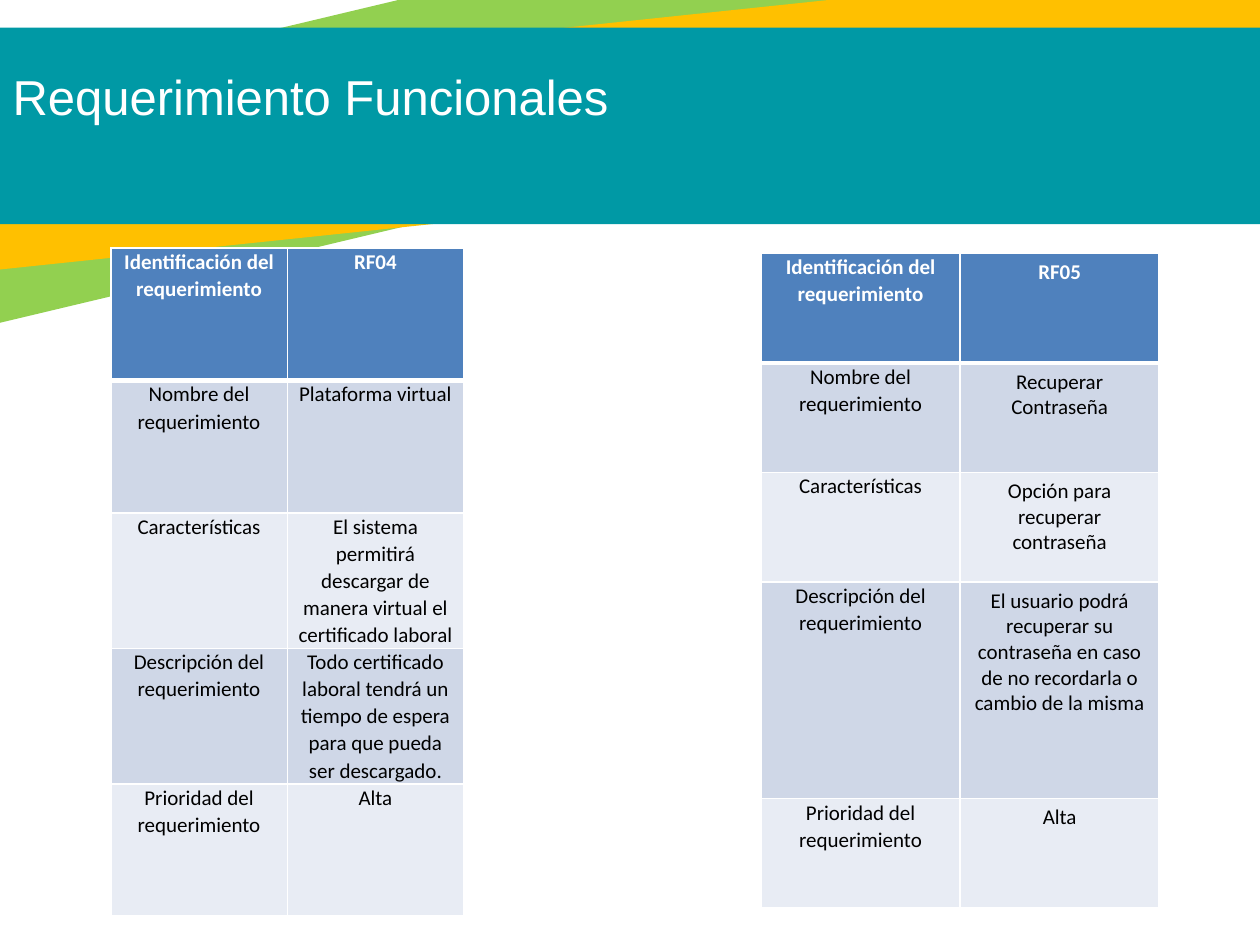
"""Build the functional requirements slide with the RF04 and RF05 tables."""
import lxml.etree
import pptx
import pptx.dml.color
import pptx.enum.shapes
import pptx.enum.text
import pptx.oxml.ns
import pptx.util

Inches = pptx.util.Inches
Pt = pptx.util.Pt
RGBColor = pptx.dml.color.RGBColor

WHITE = RGBColor(0xFF, 0xFF, 0xFF)
BLACK = RGBColor(0x00, 0x00, 0x00)
GREEN = RGBColor(0x92, 0xD0, 0x50)
AMBER = RGBColor(0xFF, 0xC0, 0x00)
TEAL = RGBColor(0x00, 0x99, 0xA5)
HEADER_BLUE = RGBColor(0x4F, 0x81, 0xBD)
BAND_FILLS = [RGBColor(0xE8, 0xEC, 0xF4), RGBColor(0xCF, 0xD7, 0xE7)]

LABELS = [
    "Identificación del requerimiento",
    "Nombre del requerimiento",
    "Características",
    "Descripción del requerimiento",
    "Prioridad del requerimiento",
]
TIGHT = {"margins": (0.07, 0), "line_spacing": 1.06}
ROOMY = {"margins": (0.1, 0.05), "line_spacing": None}
REQUIREMENTS = [
    {
        "position": (0.88, 1.97),
        "column_width": 1.4,
        "row_heights": [1.05] * 5,
        "value_layout": TIGHT,
        "values": [
            "RF04",
            "Plataforma virtual",
            "El sistema permitirá descargar de manera virtual el certificado laboral",
            "Todo certificado laboral tendrá un tiempo de espera para que pueda ser descargado.",
            "Alta",
        ],
    },
    {
        "position": (6.04, 2.01),
        "column_width": 1.58,
        "row_heights": [0.87, 0.87, 0.87, 1.72, 0.87],
        "value_layout": ROOMY,
        "values": [
            "RF05",
            "Recuperar Contraseña",
            "Opción para recuperar contraseña",
            "El usuario podrá recuperar su contraseña en caso de no recordarla o cambio de la misma",
            "Alta",
        ],
    },
]


def apply_format(target, values):
    """Set each named attribute on the target."""
    for name, value in values.items():
        setattr(target, name, value)


def set_borders(cell, widths):
    """Give the cell white borders with widths in points, keyed by side."""
    properties = cell._tc.get_or_add_tcPr()
    for index, (side, width) in enumerate(widths.items()):
        line = lxml.etree.Element(pptx.oxml.ns.qn(f"a:ln{side}"), w=str(Pt(width)))
        fill = lxml.etree.SubElement(line, pptx.oxml.ns.qn("a:solidFill"))
        lxml.etree.SubElement(fill, pptx.oxml.ns.qn("a:srgbClr"), val=str(WHITE))
        properties.insert(index, line)


deck = pptx.Presentation()
apply_format(deck, {"slide_width": Inches(10), "slide_height": Inches(7.5)})
slide = deck.slides.add_slide(deck.slide_layouts[5])

for left, top, width, height, rotation, color in [
    (-2.51, -0.18, 13.06, 1.76, 346.6, GREEN),
    (-1.1, 0.2, 11.63, 1.44, 354, AMBER),
    (-1.06, 0.22, 11.63, 1.56, 0, TEAL),
]:
    band = slide.shapes.add_shape(
        pptx.enum.shapes.MSO_SHAPE.RECTANGLE,
        Inches(left), Inches(top), Inches(width), Inches(height),
    )
    band.rotation = rotation
    band.shadow.inherit = False
    band.fill.solid()
    band.fill.fore_color.rgb = color
    band.line.fill.background()

for requirement in REQUIREMENTS:
    left, top = requirement["position"]
    column_width = requirement["column_width"]
    row_heights = requirement["row_heights"]
    table = slide.shapes.add_table(
        len(LABELS), 2, Inches(left), Inches(top),
        Inches(2 * column_width), Inches(sum(row_heights)),
    ).table
    for column in table.columns:
        column.width = Inches(column_width)
    for row_index, texts in enumerate(zip(LABELS, requirement["values"])):
        table.rows[row_index].height = Inches(row_heights[row_index])
        is_header = row_index == 0
        for column_index, text in enumerate(texts):
            layout = requirement["value_layout"] if column_index else TIGHT
            side_margin, end_margin = layout["margins"]
            cell = table.cell(row_index, column_index)
            apply_format(cell, {
                "text": text,
                "margin_left": Inches(side_margin),
                "margin_right": Inches(side_margin),
                "margin_top": Inches(end_margin),
                "margin_bottom": Inches(end_margin),
            })
            cell.fill.solid()
            cell.fill.fore_color.rgb = HEADER_BLUE if is_header else BAND_FILLS[row_index % 2]
            set_borders(cell, {
                "L": 1, "R": 1,
                "T": 3 if row_index == 1 else 1,
                "B": 3 if is_header else 1,
            })
            para = cell.text_frame.paragraphs[0]
            apply_format(para, {
                "alignment": pptx.enum.text.PP_ALIGN.CENTER,
                "line_spacing": layout["line_spacing"],
            })
            span = para.runs[0]
            apply_format(span.font, {"name": "Calibri", "size": Pt(12), "bold": is_header})
            span.font.color.rgb = WHITE if is_header else BLACK

title = slide.shapes.title
slide.shapes.element.append(title.element)
apply_format(title, {
    "left": Inches(0), "top": Inches(0.48),
    "width": Inches(6.71), "height": Inches(1.04),
})
apply_format(title.text_frame, {
    "text": "Requerimiento Funcionales",
    "word_wrap": True,
    "auto_size": pptx.enum.text.MSO_AUTO_SIZE.NONE,
    "vertical_anchor": pptx.enum.text.MSO_ANCHOR.TOP,
})
para = title.text_frame.paragraphs[0]
para.alignment = pptx.enum.text.PP_ALIGN.LEFT
span = para.runs[0]
apply_format(span.font, {"name": "Arial", "size": Pt(28)})
span.font.color.rgb = WHITE

deck.save("out.pptx")
